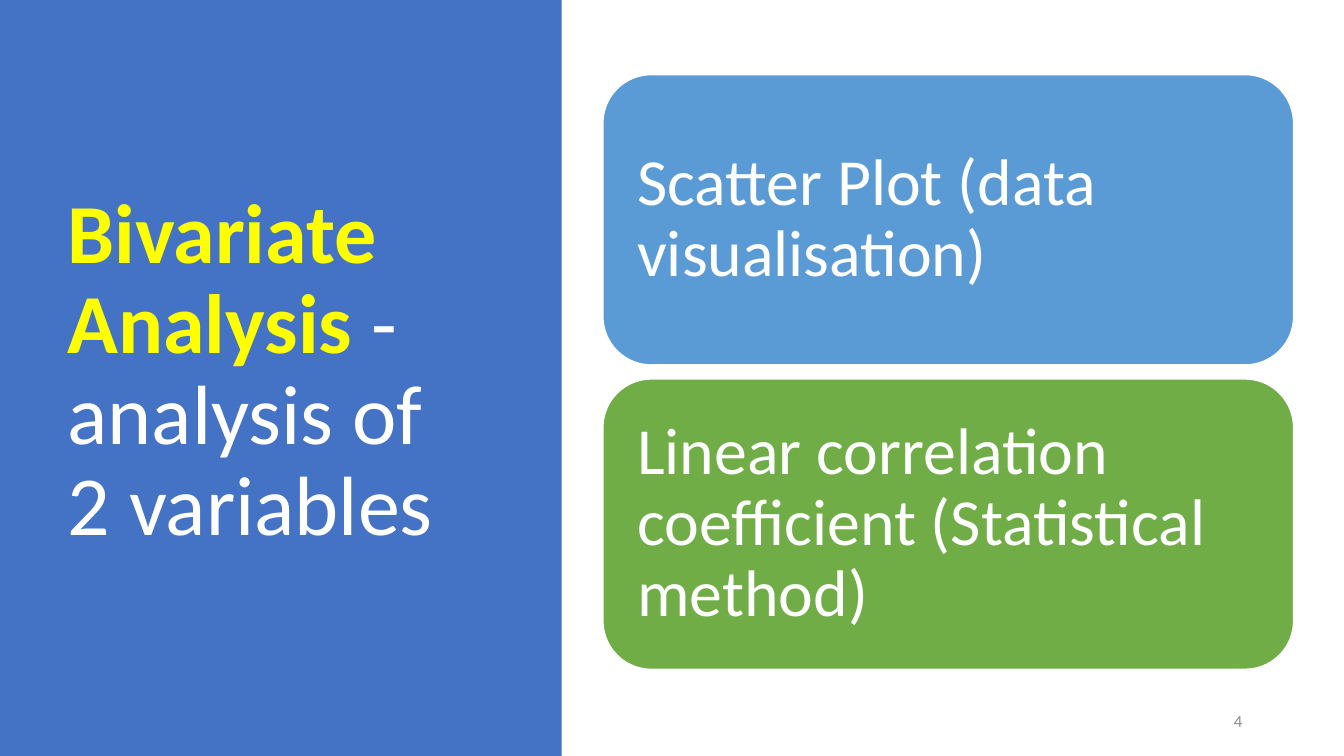
from dataclasses import dataclass

from pptx import Presentation
from pptx import util as u
from pptx.dml.color import RGBColor
from pptx.enum import shapes, text

SLIDE_W, SLIDE_H = u.Inches(13.33), u.Inches(7.5)


@dataclass(frozen=True)
class Theme:
    font: str = "Calibri"
    panel: str = "4472C4"
    accent: str = "FFFF00"
    light: str = "FFFFFF"
    muted: str = "8C8C8C"
    scatter: str = "5B9BD5"
    correlation: str = "70AD47"
    title_size: int = 60
    method_size: int = 47
    number_size: int = 12


THEME = Theme()

# Method cards: one column, equal rows
CARD_LEFT, CARD_TOP = 5.98 / 13.33, 0.74 / 7.5
CARD_W, CARD_H = 6.85 / 13.33, 2.88 / 7.5
CARD_STEP = 3.02 / 7.5
METHODS = [
    ("Scatter Plot (data visualisation)", THEME.scatter),
    ("Linear correlation coefficient (Statistical method)", THEME.correlation),
]


def area(left, top, width, height):
    """Turn shares of the slide's size into lengths."""
    return (round(SLIDE_W * left), round(SLIDE_H * top),
            round(SLIDE_W * width), round(SLIDE_H * height))


def style(font, size, color=None):
    font.name, font.size = THEME.font, u.Pt(size)
    if color:
        font.color.rgb = RGBColor.from_string(color)


def add_block(slide, preset, place, fill):
    block = slide.shapes.add_shape(preset, *area(*place))
    block.shadow.inherit = False
    block.fill.solid()
    block.fill.fore_color.rgb = RGBColor.from_string(fill)
    block.line.fill.background()
    return block


def add_panel(slide):
    panel = add_block(slide, shapes.MSO_SHAPE.RECTANGLE,
                      (0, 0, 5.57 / 13.33, 1), THEME.panel)
    # Send the panel behind the title
    slide.shapes._spTree.insert(2, panel._element)


def set_title(slide, parts):
    title = slide.shapes.title
    title.left, title.top, title.width, title.height = area(
        0.57 / 13.33, 0.68 / 7.5, 4.16 / 13.33, 6.02 / 7.5)
    frame = title.text_frame
    frame.word_wrap = True
    frame.auto_size = text.MSO_AUTO_SIZE.NONE
    frame.vertical_anchor = text.MSO_ANCHOR.MIDDLE
    heading = frame.paragraphs[0]
    heading.alignment = text.PP_ALIGN.LEFT
    heading.line_spacing = 0.9
    style(heading.font, THEME.title_size)
    for words, color, bold in parts:
        part = heading.add_run()
        part.text = words
        part.font.bold = bold
        part.font.color.rgb = RGBColor.from_string(color)


def add_method(slide, row, words, fill):
    card = add_block(slide, shapes.MSO_SHAPE.ROUNDED_RECTANGLE,
                     (CARD_LEFT, CARD_TOP + row * CARD_STEP, CARD_W, CARD_H), fill)
    card.line.color.rgb = RGBColor.from_string(THEME.light)
    card.line.width = u.Pt(1)
    frame = card.text_frame
    frame.word_wrap = True
    frame.vertical_anchor = text.MSO_ANCHOR.MIDDLE
    frame.margin_left = frame.margin_right = u.Inches(0.2)
    frame.margin_top = frame.margin_bottom = u.Inches(0.2)
    method = frame.paragraphs[0]
    method.text = words
    method.alignment = text.PP_ALIGN.LEFT
    method.line_spacing = 0.9
    style(method.font, THEME.method_size, THEME.light)


def add_page_number(slide, number):
    frame = slide.shapes.add_textbox(
        *area(9.42 / 13.33, 6.95 / 7.5, 3 / 13.33, 0.4 / 7.5)).text_frame
    frame.word_wrap = True
    frame.vertical_anchor = text.MSO_ANCHOR.MIDDLE
    page = frame.paragraphs[0]
    page.text = number
    page.alignment = text.PP_ALIGN.RIGHT
    style(page.font, THEME.number_size, THEME.muted)


def main():
    deck = Presentation()
    deck.slide_width, deck.slide_height = SLIDE_W, SLIDE_H
    slide = deck.slides.add_slide(deck.slide_layouts.get_by_name("Title Only"))

    # Left side: topic on a coloured panel
    add_panel(slide)
    set_title(slide, [("Bivariate Analysis ", THEME.accent, True),
                      ("- analysis of 2 variables", THEME.light, False)])

    # Right side: one card per method
    for row, (words, fill) in enumerate(METHODS):
        add_method(slide, row, words, fill)

    # Footer
    add_page_number(slide, "4")
    deck.save("out.pptx")


if __name__ == "__main__":
    main()
